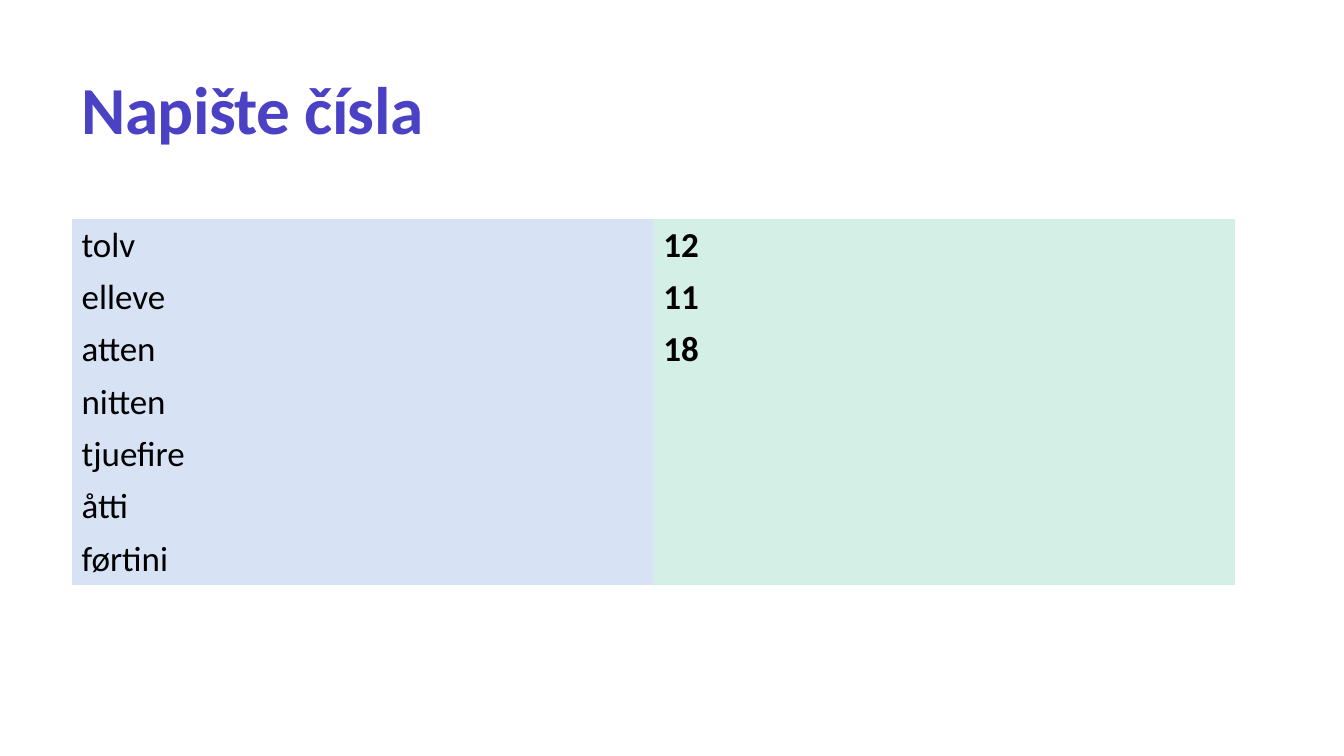
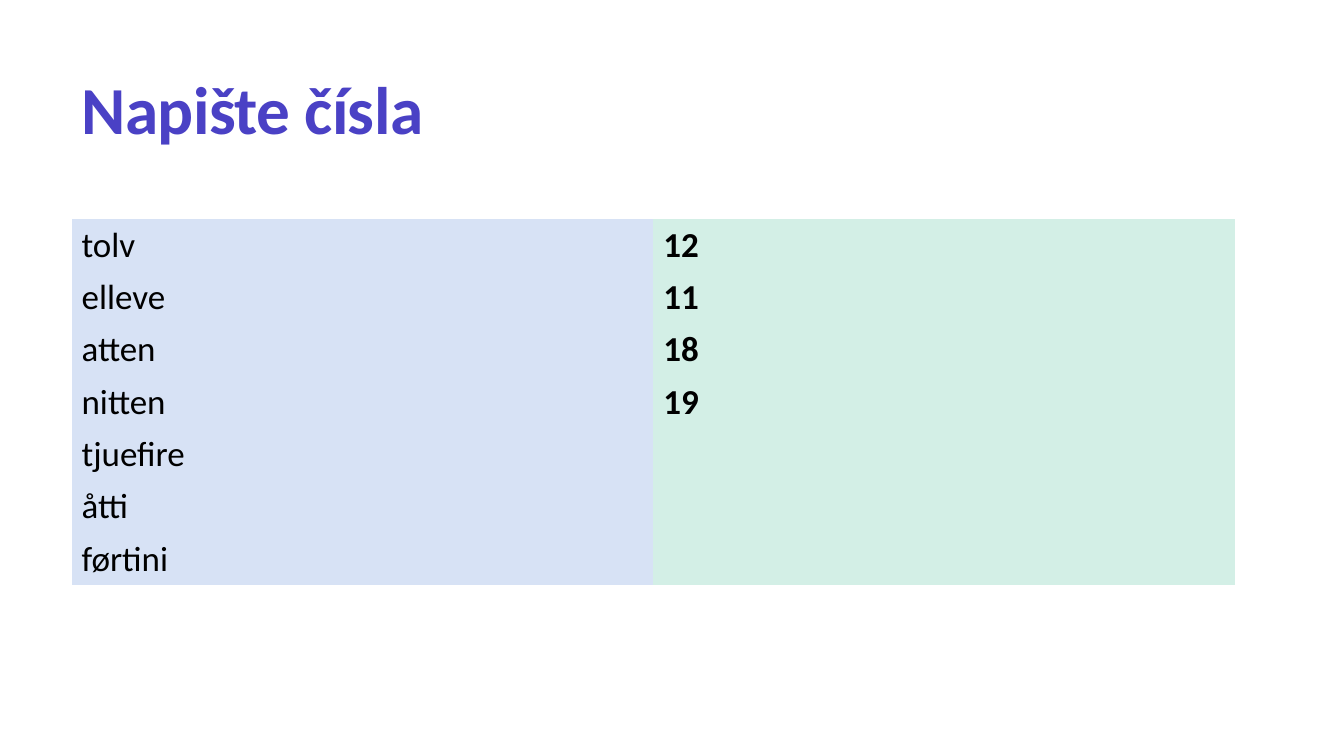
"""Build two vocabulary slides that reveal Norwegian numbers step by step."""
from pptx import Presentation
from pptx.dml.color import RGBColor
from pptx.enum.text import MSO_ANCHOR
from pptx.util import Inches, Pt

TITLE = "Napište čísla"
WORDS = ["tolv", "elleve", "atten", "nitten", "tjuefire", "åtti", "førtini"]
ANSWERS = [
    ["12", "11", "18"],
    ["12", "11", "18", "19"],
]

LEFT, WIDTH = 0.71, 11.54
TITLE_TOP, TITLE_HEIGHT = 0.4, 1.13
TABLE_TOP, ROW_HEIGHT = 2.17, 0.52
COLUMN_FILLS = ["D7E2F5", "D3EFE6"]
NO_GRID_STYLE = "{2D5ABB26-0587-4C30-8999-92F81FD0307C}"
TITLE_FORMAT = {"name": "Calibri", "size": Pt(48), "bold": True}
WORD_FORMAT = {"name": "Calibri", "size": Pt(25), "bold": False}
ANSWER_FORMAT = {**WORD_FORMAT, "bold": True}


def color(value):
    return RGBColor.from_string(value)


def write(para, text, formats, shade):
    span = para.add_run()
    span.text = text
    for name, value in formats.items():
        setattr(span.font, name, value)
    span.font.color.rgb = color(shade)
    return span


def add_title(page):
    box = page.shapes.add_textbox(
        Inches(LEFT), Inches(TITLE_TOP), Inches(WIDTH), Inches(TITLE_HEIGHT)
    )
    frame = box.text_frame
    frame.word_wrap = True
    frame.vertical_anchor = MSO_ANCHOR.BOTTOM
    para = frame.paragraphs[0]
    para.line_spacing = 0.9
    span = write(para, TITLE, TITLE_FORMAT, "4A41C5")
    span.font._element.set("spc", "-40")


def add_number_table(page, answers):
    table = page.shapes.add_table(
        len(WORDS), len(COLUMN_FILLS), Inches(LEFT), Inches(TABLE_TOP),
        Inches(WIDTH), Inches(ROW_HEIGHT * len(WORDS)),
    ).table
    table.first_row = table.horz_banding = False
    table._tbl.tblPr.find("{*}tableStyleId").text = NO_GRID_STYLE
    columns = [(WORDS, WORD_FORMAT), (answers, ANSWER_FORMAT)]
    for column, (texts, formats) in enumerate(columns):
        for row in range(len(WORDS)):
            cell = table.cell(row, column)
            cell.fill.solid()
            cell.fill.fore_color.rgb = color(COLUMN_FILLS[column])
            if row < len(texts):
                write(cell.text_frame.paragraphs[0], texts[row], formats, "000000")


def main():
    deck = Presentation()
    deck.slide_width, deck.slide_height = Inches(13.33), Inches(7.5)
    for answers in ANSWERS:
        page = deck.slides.add_slide(deck.slide_layouts[6])
        add_title(page)
        add_number_table(page, answers)
    deck.save("out.pptx")


if __name__ == "__main__":
    main()
